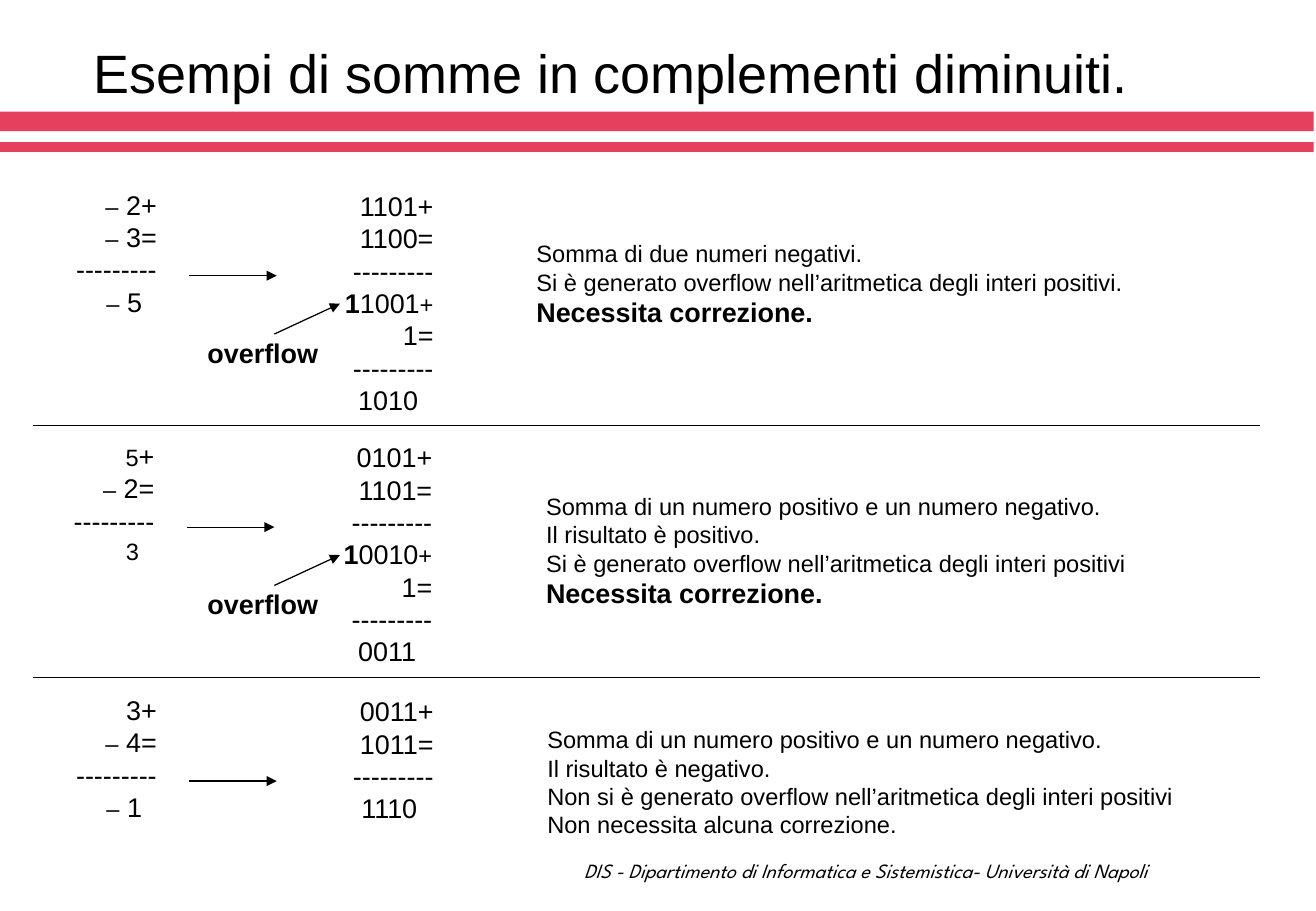
from lxml import etree
from pptx import Presentation
from pptx.dml.color import RGBColor
from pptx.enum.shapes import MSO_CONNECTOR, MSO_SHAPE
from pptx.enum.text import MSO_ANCHOR, MSO_AUTO_SIZE, PP_ALIGN
from pptx.oxml.ns import qn
from pptx.util import Pt

STRAIGHT = MSO_CONNECTOR.STRAIGHT
RECTANGLE = MSO_SHAPE.RECTANGLE
TOP, MIDDLE, BOTTOM = MSO_ANCHOR.TOP, MSO_ANCHOR.MIDDLE, MSO_ANCHOR.BOTTOM
LEFT, CENTER, RIGHT = PP_ALIGN.LEFT, PP_ALIGN.CENTER, PP_ALIGN.RIGHT
FIXED, GROW = MSO_AUTO_SIZE.NONE, MSO_AUTO_SIZE.SHAPE_TO_FIT_TEXT

PX = 9144
BLACK, RED = "000000", "E5405D"
LARGE, SMALL = 16, 14
RULE = "---------"
MINUS = ("–", SMALL, False)
CORRECTION = [("Necessita correzione.", LARGE, True)]
MIXED_SIGNS = "Somma di un numero positivo e un numero negativo."

CASES = [
    {
        "top": 150, "shift": 0,
        "decimal": [[MINUS, " 2+"], [MINUS, " 3="], [RULE], [MINUS, " 5"]],
        "decimal_indent": 25,
        "binary": [["1101+"], ["1100="], [RULE],
                   [("1", LARGE, True), "1001", ("+", SMALL, False)],
                   ["1="], [RULE], ["1010"]],
        "binary_box": (274, 93, 197), "binary_indent": 11,
        "overflow": True,
        "comment": [["Somma di due numeri negativi."],
                    ["Si è generato overflow nell’aritmetica degli interi positivi."],
                    CORRECTION],
        "comment_box": (432, 192, 508, 84),
    },
    {
        "top": 357, "shift": -2,
        "decimal": [[("5", SMALL, False), "+"], [MINUS, " 2="], [RULE],
                    [("3", SMALL, False)]],
        "decimal_indent": 43,
        "binary": [["0101+"], ["1101="], [RULE],
                   [("1", LARGE, True), "0010", ("+", SMALL, False)],
                   ["1="], [RULE], ["0011"]],
        "binary_box": (273, 93, 197), "binary_indent": 12,
        "overflow": True,
        "comment": [[MIXED_SIGNS], ["Il risultato è positivo."],
                    ["Si è generato overflow nell’aritmetica degli interi positivi"],
                    CORRECTION],
        "comment_box": (440, 400, 502, 107),
    },
    {
        "top": 566, "shift": 0,
        "decimal": [["3+"], [MINUS, " 4="], [RULE], [MINUS, " 1"]],
        "decimal_indent": 25,
        "binary": [["0011+"], ["1011="], [RULE], ["1110"]],
        "binary_box": (279, 88, 117), "binary_indent": 7,
        "overflow": False,
        "comment": [[MIXED_SIGNS], ["Il risultato è negativo."],
                    ["Non si è generato overflow nell’aritmetica degli interi positivi"],
                    ["Non necessita alcuna correzione."]],
        "comment_box": (441, 592, 540, 104),
    },
]


def rgb(color):
    """Turn a hex string into a colour."""
    return RGBColor.from_string(color)


def scaled(*lengths):
    """Turn px lengths into EMU."""
    return [length * PX for length in lengths]


def style(font, size, name="Arial", bold=False, italic=False):
    """Set the whole look of a font."""
    font.name, font.size, font.bold, font.italic = name, Pt(size), bold, italic
    font.color.rgb = rgb(BLACK)


def add_band(slide, top, height):
    """Draw one red band under the title."""
    band = slide.shapes.add_shape(RECTANGLE, *scaled(0, top, 1082, height))
    band.shadow.inherit = False
    band.fill.solid()
    band.fill.fore_color.rgb = rgb(RED)
    band.line.fill.background()


def add_line(slide, start, end, arrow=False):
    """Draw a thin black line, with an arrowhead at its end if asked."""
    line = slide.shapes.add_connector(STRAIGHT, *scaled(*start, *end))
    line.line.width = Pt(0.75)
    line.line.color.rgb = rgb(BLACK)
    if arrow:
        etree.SubElement(line.line._get_or_add_ln(), qn("a:tailEnd"), type="triangle")
    etree.SubElement(line._element.spPr, qn("a:effectLst"))


def add_text(slide, box, lines, align=LEFT, anchor=TOP, **look):
    """Add lines of runs, where a run is a string or (text, size, bold)."""
    frame = slide.shapes.add_textbox(*scaled(*box)).text_frame
    frame.word_wrap, frame.auto_size = False, GROW
    frame.vertical_anchor = anchor
    for index, runs in enumerate(lines):
        paragraph = frame.add_paragraph() if index else frame.paragraphs[0]
        paragraph.alignment = align
        style(paragraph.font, **look)
        for part in runs:
            run = paragraph.add_run()
            if isinstance(part, str):
                run.text = part
            else:
                run.text, size, run.font.bold = part
                run.font.size = Pt(size)
    return frame


def add_sum(slide, box, lines, result_indent):
    """Add a column sum whose last line is set in from the operators."""
    result = add_text(slide, box, lines, RIGHT, size=LARGE).paragraphs[-1]
    result.alignment = LEFT
    properties = result._p.get_or_add_pPr()
    properties.set("marL", str(result_indent * PX))
    properties.set("indent", "0")


def add_case(slide, case):
    """Add one worked sum with its arrows and comment."""
    top, shift = case["top"], case["shift"]
    left, width, height = case["binary_box"]
    add_sum(slide, (51 + shift, top, 88, 117), case["decimal"], case["decimal_indent"])
    add_line(slide, (156 + shift, top + 77), (228 + shift, top + 77), arrow=True)
    add_sum(slide, (left, top + 1, width, height), case["binary"], case["binary_indent"])
    add_text(slide, case["comment_box"], case["comment"], size=SMALL)
    if case["overflow"]:
        add_line(slide, (226, top + 125), (280, top + 100), arrow=True)
        add_text(slide, (161, top + 122, 111, 37), [["overflow"]], CENTER,
                 size=LARGE, bold=True)


def add_title(slide, text):
    """Place and format the title."""
    title = slide.shapes.title
    title.left, title.top, title.width, title.height = scaled(67, 21, 949, 70)
    frame = title.text_frame
    frame.text = text
    frame.auto_size, frame.vertical_anchor = FIXED, BOTTOM
    frame.paragraphs[0].alignment = LEFT
    style(frame.paragraphs[0].font, 32)


def main():
    """Build the slide and save it."""
    deck = Presentation()
    deck.slide_width, deck.slide_height = scaled(1084, 750)
    slide = deck.slides.add_slide(deck.slide_layouts[5])
    add_title(slide, "Esempi di somme in complementi diminuiti.")
    add_band(slide, 92, 16)
    add_band(slide, 117, 8)
    for case in CASES:
        add_case(slide, case)
    for height in (350, 558):
        add_line(slide, (27, height), (1038, height))
    add_text(slide, (450, 702, 527, 30),
             [["DIS - Dipartimento di Informatica e Sistemistica- Università di Napoli"]],
             CENTER, MIDDLE, size=12, name="League Spartan", italic=True)
    deck.save("out.pptx")


if __name__ == "__main__":
    main()
